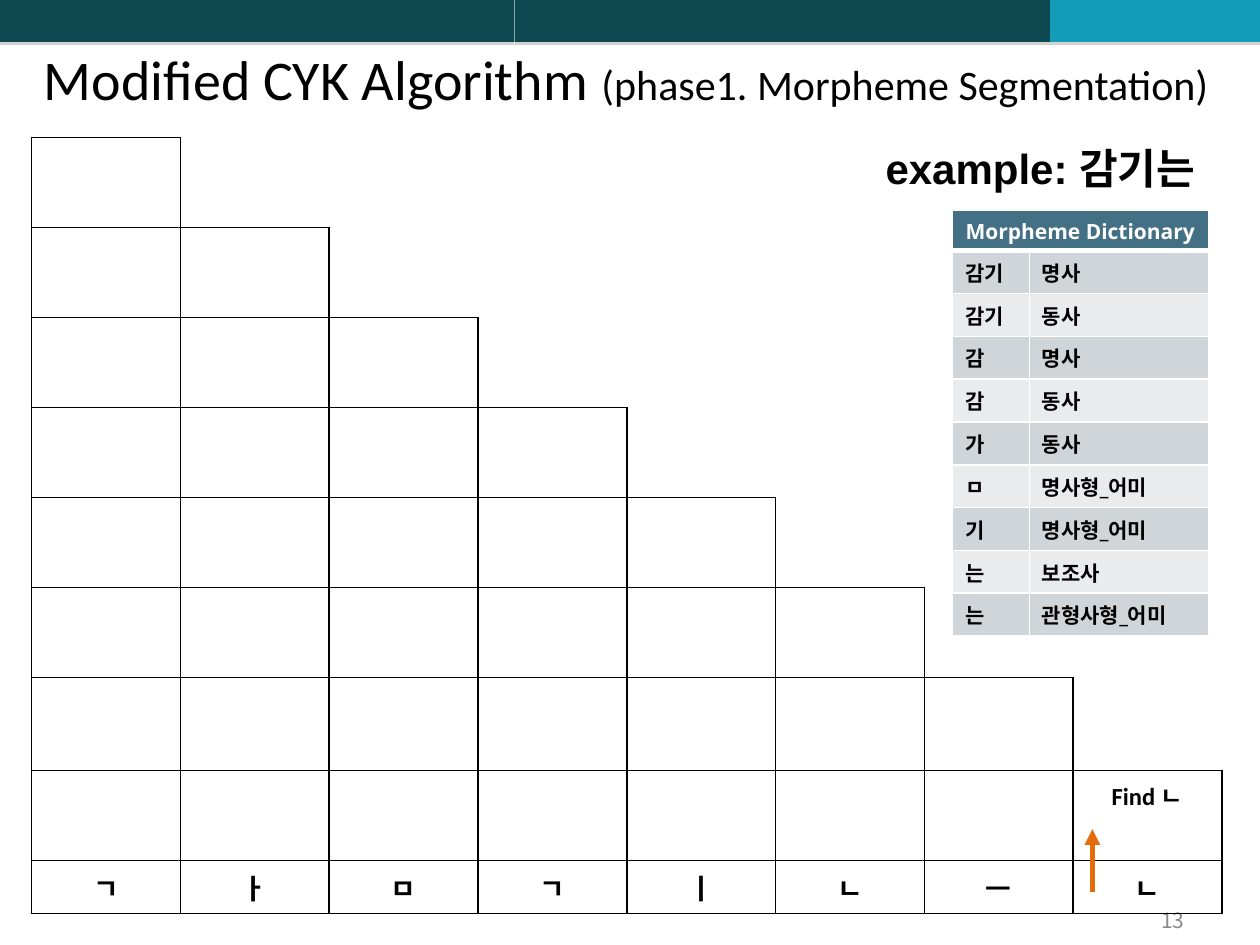
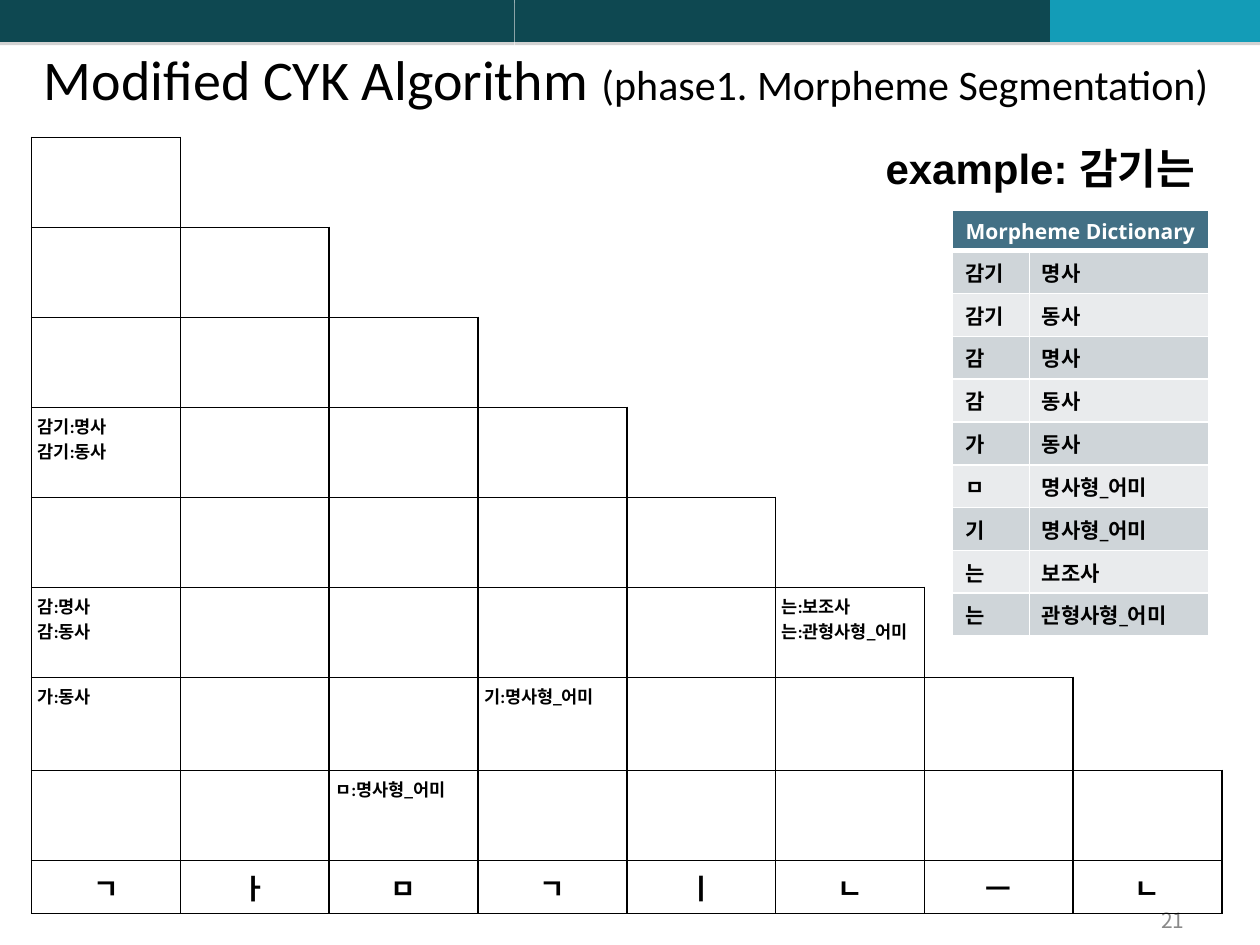
from dataclasses import dataclass

from lxml.etree import SubElement
from pptx import Presentation
from pptx.dml.color import RGBColor
from pptx.enum.shapes import MSO_CONNECTOR, MSO_SHAPE
from pptx.enum.text import MSO_ANCHOR, PP_ALIGN
from pptx.oxml import parse_xml
from pptx.oxml.ns import nsdecls, qn
from pptx.util import Inches, Pt

# ---- Content ----
TITLE = [("Modified CYK Algorithm ", 32), ("(phase1. Morpheme Segmentation)", 24)]
EXAMPLE = "example: 감기는"
LETTERS = ["ㄱ", "ㅏ", "ㅁ", "ㄱ", "ㅣ", "ㄴ", "ㅡ", "ㄴ"]
DICT_TITLE = "Morpheme Dictionary"
DICTIONARY = [
    ("감기", "명사"), ("감기", "동사"), ("감", "명사"), ("감", "동사"),
    ("가", "동사"), ("ㅁ", "명사형_어미"), ("기", "명사형_어미"),
    ("는", "보조사"), ("는", "관형사형_어미"),
]
# Chart entries are keyed by (row, column)
SLIDES = [
    {"number": "13", "search": (7, 7, "Find ㄴ"), "entries": {}},
    {"number": "21", "search": None, "entries": {
        (3, 0): ["감기:명사", "감기:동사"],
        (5, 0): ["감:명사", "감:동사"],
        (5, 5): ["는:보조사", "는:관형사형_어미"],
        (6, 0): ["가:동사"],
        (6, 3): ["기:명사형_어미"],
        (7, 2): ["ㅁ:명사형_어미"],
    }},
]


# ---- Theme ----
@dataclass(frozen=True)
class Theme:
    dark: str = "0E4851"
    bright: str = "139CB7"
    shadow: str = "808080"
    ink: str = "000000"
    white: str = "FFFFFF"
    grey: str = "898989"
    header: str = "437085"
    bands: tuple = ("CFD5D9", "E9EBED")
    arrow: str = "E46C0A"
    body: str = "Calibri"
    label: str = "Open Sans"
    display: str = "Arial"
    korean: str = "Noto Sans CJK KR"
    example: int = 24
    letter: int = 16
    search: int = 14
    small: int = 12
    entry: int = 10


T = Theme()

# ---- Layout, in inches ----
BANDS = [(0, 4.08, T.dark), (49 / 12, 4.25, T.dark), (25 / 3, 5 / 3, T.bright)]
BAND_H = 1 / 3
GRID_LEFT, GRID_TOP, GRID_W = 0.25, 1.09, 9.45
GRID_ROWS = [5 / 7] * 6 + [0.74, 5 / 7, 0.42]
DICT_LEFT, DICT_TOP = 7.56, 1.67
DICT_COLS = [0.61, 1.42]
DICT_ROWS = [0.32] + [0.34] * len(DICTIONARY)


def write_text(tf, text, size=12, font=T.body, color=T.ink, bold=False,
               align=PP_ALIGN.LEFT):
    """Fill tf from a string or a list of paragraphs; a paragraph is a
    string or a list of (text, size) runs."""
    lines = [text] if isinstance(text, str) else text
    for i, line in enumerate(lines):
        p = tf.paragraphs[0] if i == 0 else tf.add_paragraph()
        p.alignment = align
        for words, pts in ([(line, size)] if isinstance(line, str) else line):
            r = p.add_run()
            r.text = words
            r.font.size, r.font.name, r.font.bold = Pt(pts), font, bold
            r.font.color.rgb = RGBColor.from_string(color)
            SubElement(r.font._element, qn("a:ea"), typeface=T.korean)


def add_text(s, box, text, wrap=True, anchor=MSO_ANCHOR.TOP, **fmt):
    tf = s.shapes.add_textbox(*map(Inches, box)).text_frame
    tf.word_wrap, tf.vertical_anchor = wrap, anchor
    write_text(tf, text, **fmt)


def set_borders(cell, color, **widths):
    """Give each side L, R, T, B its width in points, or no line at all."""
    tc_pr = cell._tc.get_or_add_tcPr()
    for i, side in enumerate("LRTB"):
        width = widths.get(side, 0)
        fill = (f'<a:solidFill><a:srgbClr val="{color}"/></a:solidFill>'
                if width else "<a:noFill/>")
        tc_pr.insert(i, parse_xml(
            f'<a:ln{side} {nsdecls("a")} w="{Pt(width)}">{fill}</a:ln{side}>'))


def add_table(s, left, top, cols, rows):
    sp = s.shapes.add_table(len(rows), len(cols), Inches(left), Inches(top),
                            Inches(sum(cols)), Inches(sum(rows)))
    table = sp.table
    table.first_row = table.horz_banding = False
    for col, width in zip(table.columns, cols):
        col.width = Inches(width)
    for row, height in zip(table.rows, rows):
        row.height = Inches(height)
    return table


def add_bands(s):
    for left, width, color in BANDS:
        sp = s.shapes.add_shape(MSO_SHAPE.RECTANGLE, Inches(left), 0,
                                Inches(width), Inches(BAND_H))
        sp.fill.solid()
        sp.fill.fore_color.rgb = RGBColor.from_string(color)
        sp.line.fill.background()
        sp.shadow.inherit = False
        effects = sp._element.spPr.find(qn("a:effectLst"))
        effects.append(parse_xml(
            f'<a:outerShdw {nsdecls("a")} blurRad="0" dist="{Pt(1.8)}" '
            f'dir="5400000" rotWithShape="0"><a:srgbClr val="{T.shadow}">'
            '<a:alpha val="35000"/></a:srgbClr></a:outerShdw>'))


def add_chart_grid(s, entries, search):
    n = len(LETTERS)
    table = add_table(s, GRID_LEFT, GRID_TOP, [GRID_W / n] * n, GRID_ROWS)
    for r in range(len(GRID_ROWS)):
        for c in range(n):
            cell = table.cell(r, c)
            cell.fill.background()
            # Staircase: cells right of the diagonal stay open
            sides = "LRTB" if c <= r else "LB" if c == r + 1 else ""
            set_borders(cell, T.ink, **dict.fromkeys(sides, 1))
    for c, letter in enumerate(LETTERS):
        write_text(table.cell(n, c).text_frame, letter, size=T.letter,
                   bold=True, align=PP_ALIGN.CENTER)
    for (r, c), lines in entries.items():
        cell = table.cell(r, c)
        cell.margin_left = cell.margin_right = Inches(0.05)
        write_text(cell.text_frame, lines, size=T.entry, bold=True)
    if search:
        r, c, text = search
        write_text(table.cell(r, c).text_frame, text, size=T.search,
                   bold=True, align=PP_ALIGN.CENTER)


def add_dictionary(s):
    table = add_table(s, DICT_LEFT, DICT_TOP, DICT_COLS, DICT_ROWS)
    for r, words in enumerate([(DICT_TITLE, ""), *DICTIONARY]):
        fill = T.bands[(r - 1) % 2] if r else T.header
        for c, word in enumerate(words):
            cell = table.cell(r, c)
            cell.fill.solid()
            cell.fill.fore_color.rgb = RGBColor.from_string(fill)
            set_borders(cell, T.white, L=1, R=1, T=3 if r == 1 else 1,
                        B=1 if r else 3)
            if word:
                write_text(cell.text_frame, word, size=T.small, font=T.label,
                           color=T.ink if r else T.white, bold=True,
                           align=PP_ALIGN.LEFT if r else PP_ALIGN.CENTER)
    table.cell(0, 0).merge(table.cell(0, 1))


def add_search_arrow(s):
    x, start, end = Inches(8.67), Inches(7.08), Inches(6.58)
    line = s.shapes.add_connector(MSO_CONNECTOR.STRAIGHT, x, start, x, end)
    line.line.color.rgb = RGBColor.from_string(T.arrow)
    line.line.width = Pt(3)
    SubElement(line.line._get_or_add_ln(), qn("a:tailEnd"), type="triangle")
    SubElement(line._element.spPr, qn("a:effectLst"))


def build_slide(prs, number, search, entries):
    s = prs.slides.add_slide(prs.slide_layouts[6])
    add_bands(s)
    add_text(s, (7.17, 7.17, 2.33, 0.27), number, anchor=MSO_ANCHOR.MIDDLE,
             size=T.small, font=T.korean, color=T.grey, align=PP_ALIGN.RIGHT)
    add_chart_grid(s, entries, search)
    add_dictionary(s)
    if search:
        add_search_arrow(s)
    add_text(s, (6.93, 1.08, 2.77, 0.5), EXAMPLE, wrap=False,
             size=T.example, font=T.display, bold=True)
    add_text(s, (0.25, 0.3, 9.45, 0.78), [TITLE])


def main():
    prs = Presentation()
    prs.slide_width, prs.slide_height = Inches(10), Inches(7.5)
    for slide in SLIDES:
        build_slide(prs, **slide)
    prs.save("out.pptx")


if __name__ == "__main__":
    main()
